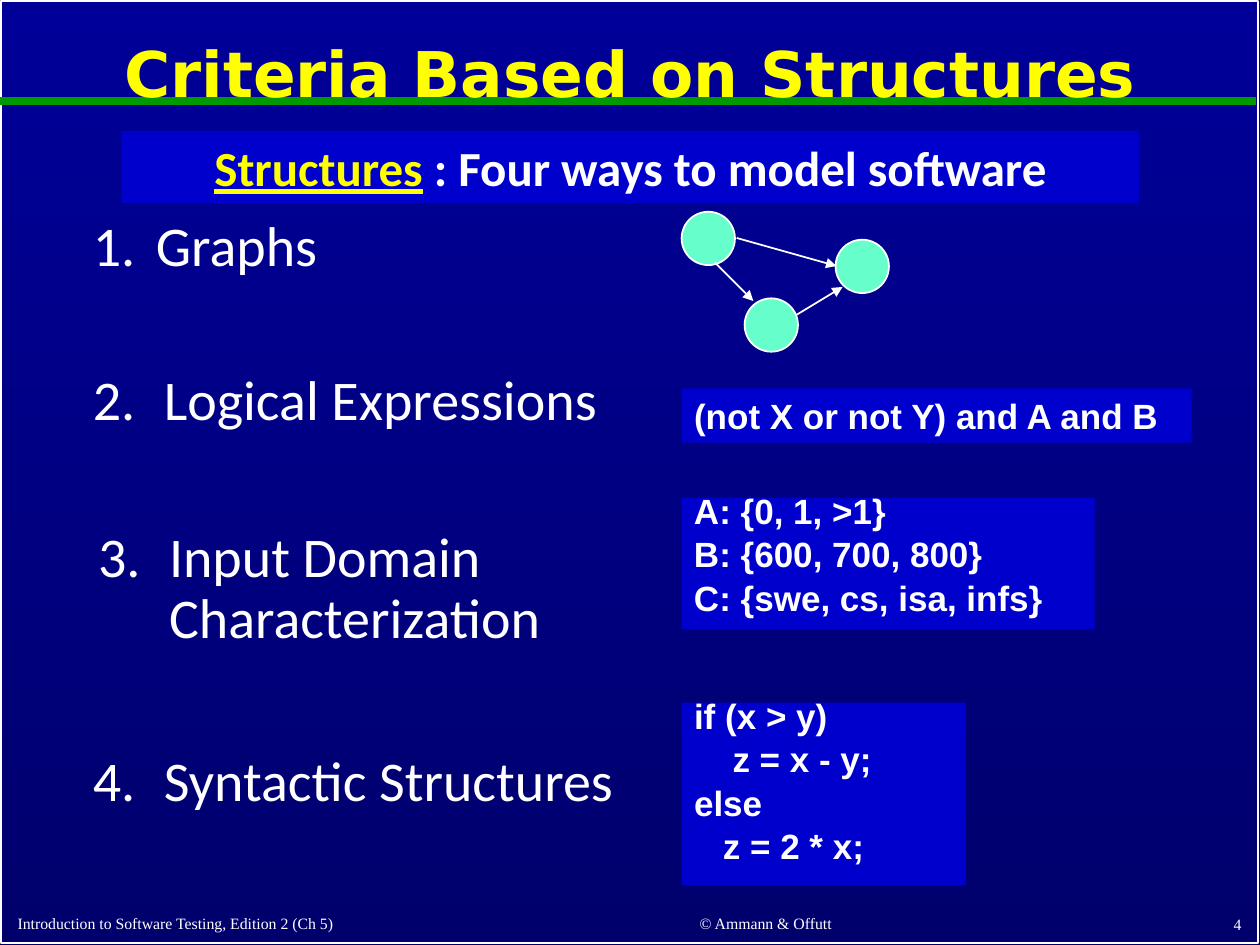
from pptx import Presentation
from pptx.dml.color import RGBColor
from pptx.enum.shapes import MSO_CONNECTOR, MSO_SHAPE
from pptx.enum.text import MSO_ANCHOR, PP_ALIGN
from pptx.oxml.ns import qn
from pptx.util import Pt
from lxml.etree import SubElement

WHITE = RGBColor(0xFF, 0xFF, 0xFF)
YELLOW = RGBColor(0xFF, 0xFF, 0x00)
GREEN = RGBColor(0x00, 0x99, 0x00)
MINT = RGBColor(0x66, 0xFF, 0xCC)
PANEL_BLUE = RGBColor(0x00, 0x00, 0xCC)
TOP_BLUE = RGBColor(0x00, 0x00, 0x99)
BOTTOM_BLUE = RGBColor(0x00, 0x00, 0x6D)

EXAMPLE_LEFT = 389.5
NODE_SIZE = 30.5


class SlideBuilder:
    """Draws styled elements on one slide, with all lengths in points."""

    def __init__(self, slide):
        self.slide = slide

    def background(self, top, bottom):
        fill = self.slide.background.fill
        fill.gradient()
        fill.gradient_angle = 270
        for stop, color in zip(fill.gradient_stops, (top, bottom)):
            stop.color.rgb = color

    def shape(self, kind, box, fill=None, outline=None):
        shape = self.slide.shapes.add_shape(kind, *map(Pt, box))
        shape.shadow.inherit = False
        if fill is None:
            shape.fill.background()
        else:
            shape.fill.solid()
            shape.fill.fore_color.rgb = fill
        if outline is None:
            shape.line.fill.background()
        else:
            shape.line.color.rgb = outline
            shape.line.width = Pt(1)
        return shape

    def line(self, start, end, color=WHITE, width=1, arrow=False):
        line = self.slide.shapes.add_connector(
            MSO_CONNECTOR.STRAIGHT, *map(Pt, start + end))
        line.line.color.rgb = color
        line.line.width = Pt(width)
        properties = line._element.spPr
        if arrow:
            SubElement(properties.find(qn("a:ln")), qn("a:tailEnd"), type="triangle")
        SubElement(properties, qn("a:effectLst"))

    def fill_text(self, shape, text, size, font, color=WHITE, bold=False,
                  align=PP_ALIGN.LEFT, anchor=MSO_ANCHOR.TOP, spacing=1.0, before=0):
        frame = shape.text_frame
        frame.word_wrap = True
        frame.vertical_anchor = anchor
        frame.text = text
        for paragraph in frame.paragraphs:
            paragraph.alignment = align
            paragraph.line_spacing = spacing
            paragraph.space_before = Pt(before)
            for run in paragraph.runs:
                run.font.size = Pt(size)
                run.font.name = font
                run.font.bold = bold
                run.font.color.rgb = color
        return frame

    def text(self, box, text, size, font, **style):
        textbox = self.slide.shapes.add_textbox(*map(Pt, box))
        return self.fill_text(textbox, text, size, font, **style)

    def panel(self, box, text, size=20, font="Arial", **style):
        panel = self.shape(MSO_SHAPE.RECTANGLE, box, PANEL_BLUE)
        return self.fill_text(panel, text, size, font, bold=True, **style)

    def numbered(self, number, box, text, indent):
        frame = self.text(box, text, 32, "Calibri", spacing=0.9, before=9.6)
        properties = frame.paragraphs[0]._p.get_or_add_pPr()
        properties.set("marL", str(Pt(indent)))
        properties.set("indent", str(-Pt(indent)))
        SubElement(properties, qn("a:buFont"), typeface="+mj-lt")
        SubElement(properties, qn("a:buAutoNum"), type="arabicPeriod",
                   startAt=str(number))

    def node(self, left, top):
        self.shape(MSO_SHAPE.OVAL, (left, top, NODE_SIZE, NODE_SIZE), MINT, WHITE)


def main():
    presentation = Presentation()
    presentation.slide_width = Pt(720)
    presentation.slide_height = Pt(540)
    builder = SlideBuilder(presentation.slides.add_slide(presentation.slide_layouts[6]))

    builder.background(TOP_BLUE, BOTTOM_BLUE)
    builder.shape(MSO_SHAPE.RECTANGLE, (0.75, 0.75, 718, 538), outline=WHITE)
    builder.line((0, 57.5), (718, 57.5), GREEN, 4.5)
    builder.text((3.6, 8, 713, 72), "Criteria Based on Structures", 36, "DejaVu Sans",
                 color=YELLOW, bold=True, align=PP_ALIGN.CENTER,
                 anchor=MSO_ANCHOR.MIDDLE, spacing=0.9)

    footers = (
        ((3, 517, 302, 19.5), "Introduction to Software Testing, Edition 2 (Ch 5)", PP_ALIGN.LEFT),
        ((323.5, 516.5, 228, 20), "© Ammann & Offutt", PP_ALIGN.CENTER),
        ((566.5, 516, 150, 21), "4", PP_ALIGN.RIGHT),
    )
    for box, footer, align in footers:
        builder.text(box, footer, 9, "Times New Roman", align=align,
                     anchor=MSO_ANCHOR.BOTTOM)

    heading = builder.panel((69.5, 75, 581.5, 41), "Structures", 28, "Calibri",
                            color=YELLOW, align=PP_ALIGN.CENTER, before=14)
    term = heading.paragraphs[0].runs[0]
    term.font.underline = True
    explanation = heading.paragraphs[0].add_run()
    explanation.text = " : Four ways to model software"
    explanation.font.size = term.font.size
    explanation.font.name = term.font.name
    explanation.font.bold = True
    explanation.font.color.rgb = WHITE

    structures = (
        ("Graphs", 46, 121, 46, 36),
        ("Logical Expressions", 46, 209, 58, 40.5),
        ("Input Domain Characterization", 49, 299, 75.5, 40.5),
        ("Syntactic Structures", 46, 427, 62.5, 40.5),
    )
    for number, (name, left, top, height, indent) in enumerate(structures, 1):
        builder.numbered(number, (left, top, 316, height), name, indent)

    for left, top in ((EXAMPLE_LEFT, 121), (477.5, 137), (425.5, 170.5)):
        builder.node(left, top)
    edges = (
        ((421, 136), (478, 152)),
        ((408.5, 150), (430.5, 172)),
        ((455, 180), (481.5, 164)),
    )
    for start, end in edges:
        builder.line(start, end, arrow=True)

    builder.panel((EXAMPLE_LEFT, 222, 291.5, 31), "(not X or not Y) and A and B", before=10.5)
    code = builder.panel((EXAMPLE_LEFT, 401.5, 162.5, 104.5),
                         "if (x > y)\nz = x - y;\nelse\nz = 2 * x;",
                         spacing=0.6, before=10.5)
    for row, indent in ((1, 22), (3, 16.5)):
        code.paragraphs[row]._p.get_or_add_pPr().set("marL", str(Pt(indent)))
    builder.panel((EXAMPLE_LEFT, 284.5, 236, 75),
                  "A: {0, 1, >1}\nB: {600, 700, 800}\nC: {swe, cs, isa, infs}",
                  spacing=0.6, before=10.5)

    presentation.save("out.pptx")


if __name__ == "__main__":
    main()
